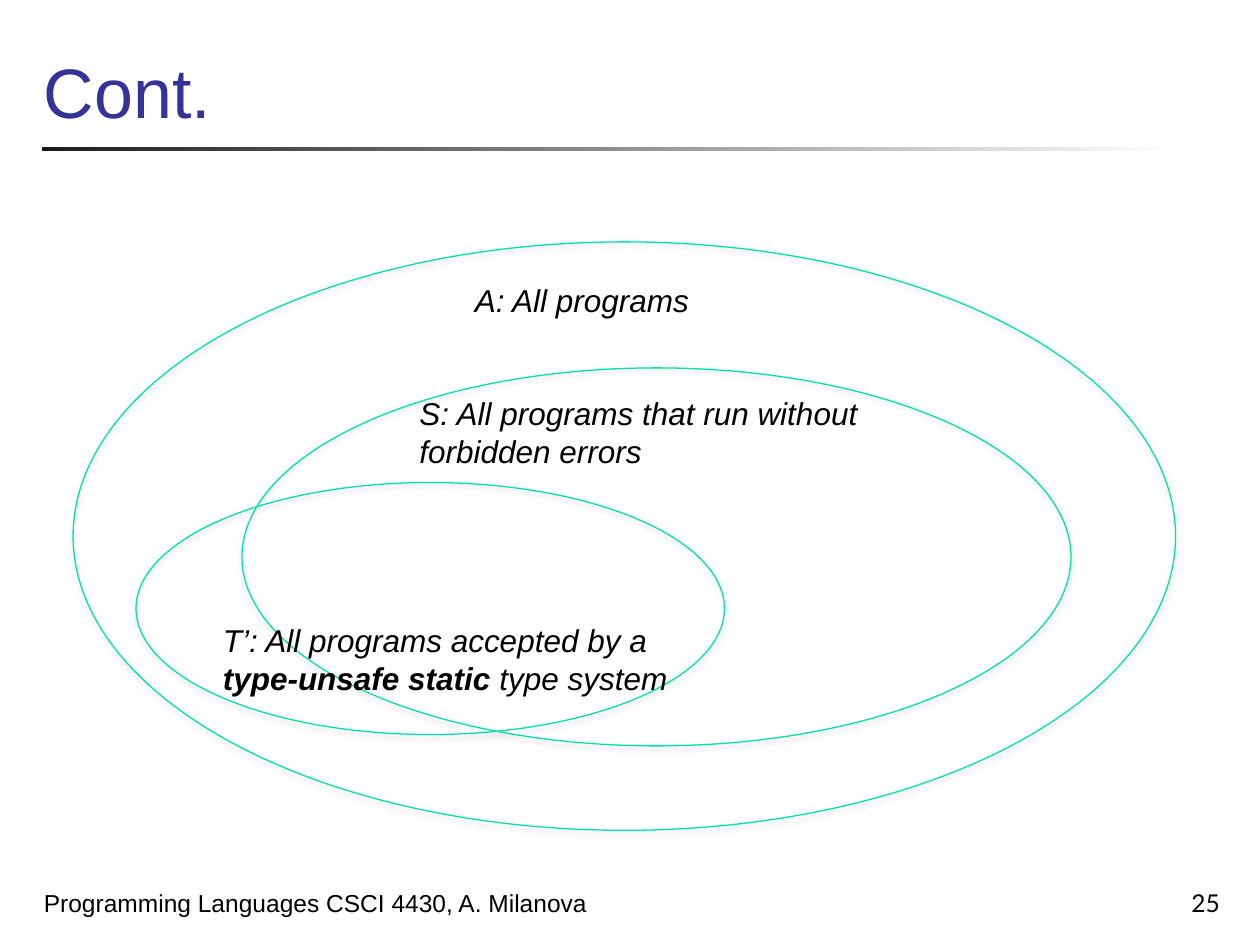
from lxml import etree
from pptx import Presentation
from pptx.dml.color import RGBColor
from pptx.enum.shapes import MSO_SHAPE
from pptx.enum.text import MSO_ANCHOR, MSO_AUTO_SIZE, PP_ALIGN
from pptx.oxml.ns import qn
from pptx.util import Inches, Pt

ELLIPSE, RECTANGLE = MSO_SHAPE.OVAL, MSO_SHAPE.RECTANGLE
TOP, BOTTOM = MSO_ANCHOR.TOP, MSO_ANCHOR.BOTTOM
LEFT, RIGHT = PP_ALIGN.LEFT, PP_ALIGN.RIGHT
FIT_SHAPE = MSO_AUTO_SIZE.SHAPE_TO_FIT_TEXT

BLACK, DARK, WHITE = "000000", "1C1C1C", "FFFFFF"
TITLE_BLUE, SET_GREEN, SHADOW_GRAY = "333399", "00E4A7", "808080"


def color(hex_string):
    return RGBColor.from_string(hex_string)


def add_text(slide, box, lines, size, font="Arial", ink=BLACK,
             align=LEFT, anchor=BOTTOM, italic=False, wrap=True):
    """Each line is a list of (text, bold) runs; lines become paragraphs."""
    text_box = slide.shapes.add_textbox(*map(Inches, box))
    frame = text_box.text_frame
    frame.word_wrap = wrap
    frame.vertical_anchor = anchor
    if not wrap:
        frame.auto_size = FIT_SHAPE
    for index, runs in enumerate(lines):
        paragraph = frame.paragraphs[0] if index == 0 else frame.add_paragraph()
        paragraph.alignment = align
        for text, bold in runs:
            if text == "\n":
                paragraph.add_line_break()
                continue
            run = paragraph.add_run()
            run.text = text
            run.font.name = font
            run.font.size = Pt(size)
            run.font.bold = bold
            run.font.italic = italic
            run.font.color.rgb = color(ink)


def add_title_rule(slide):
    rule = slide.shapes.add_shape(
        RECTANGLE, Inches(0.33), Inches(1.17), Inches(9), Inches(0.03))
    rule.shadow.inherit = False
    rule.line.fill.background()
    rule.fill.gradient()
    rule.fill.gradient_angle = 0
    for stop, shade, position in zip(rule.fill.gradient_stops, (DARK, WHITE), (0, 1)):
        stop.color.rgb = color(shade)
        stop.position = position


def add_soft_shadow(shape):
    shape.shadow.inherit = False
    effects = shape._element.spPr.find(qn("a:effectLst"))
    shadow = etree.SubElement(
        effects, qn("a:outerShdw"), blurRad=str(Pt(3.1)), dist=str(Pt(1.8)),
        dir=str(90 * 60000), rotWithShape="0")
    tint = etree.SubElement(shadow, qn("a:srgbClr"), val=SHADOW_GRAY)
    etree.SubElement(tint, qn("a:alpha"), val="35000")


def add_program_set(slide, outline, label_box, label):
    ellipse = slide.shapes.add_shape(ELLIPSE, *map(Inches, outline))
    ellipse.fill.background()
    ellipse.line.color.rgb = color(SET_GREEN)
    ellipse.line.width = Pt(0.75)
    add_soft_shadow(ellipse)
    add_text(slide, label_box, label, 18, anchor=TOP, italic=True, wrap=False)


def main():
    deck = Presentation()
    deck.slide_width, deck.slide_height = Inches(10), Inches(7.5)
    slide = deck.slides.add_slide(deck.slide_layouts[6])

    # Title and footer
    add_title_rule(slide)
    add_text(slide, (0.25, 0, 9.52, 1.1), [[("Cont.", False)]], 40, ink=TITLE_BLUE)
    add_text(slide, (0.25, 6.83, 5.17, 0.5),
             [[("Programming Languages CSCI 4430, A. Milanova", False)]], 14)
    add_text(slide, (7.7, 6.83, 2.08, 0.5), [[("25", False)]], 14,
             font="Lato", align=RIGHT)

    # Overlapping sets of programs, outermost first
    program_sets = [
        ((0.58, 1.92, 8.75, 4.67), (3.67, 2.18, 1.98, 0.4),
         [[("A: All programs", False)]]),
        ((1.92, 2.92, 6.58, 3), (3.23, 3.08, 3.77, 0.71),
         [[("S: All programs that run without ", False), ("\n", False),
           ("forbidden errors", False)]]),
        ((1.08, 3.83, 4.67, 2), (1.67, 4.88, 3.82, 0.71),
         [[("T’: All programs accepted by a", False)],
          [("type-unsafe static", True), (" type system", False)]]),
    ]
    for outline, label_box, label in program_sets:
        add_program_set(slide, outline, label_box, label)

    deck.save("out.pptx")


if __name__ == "__main__":
    main()
